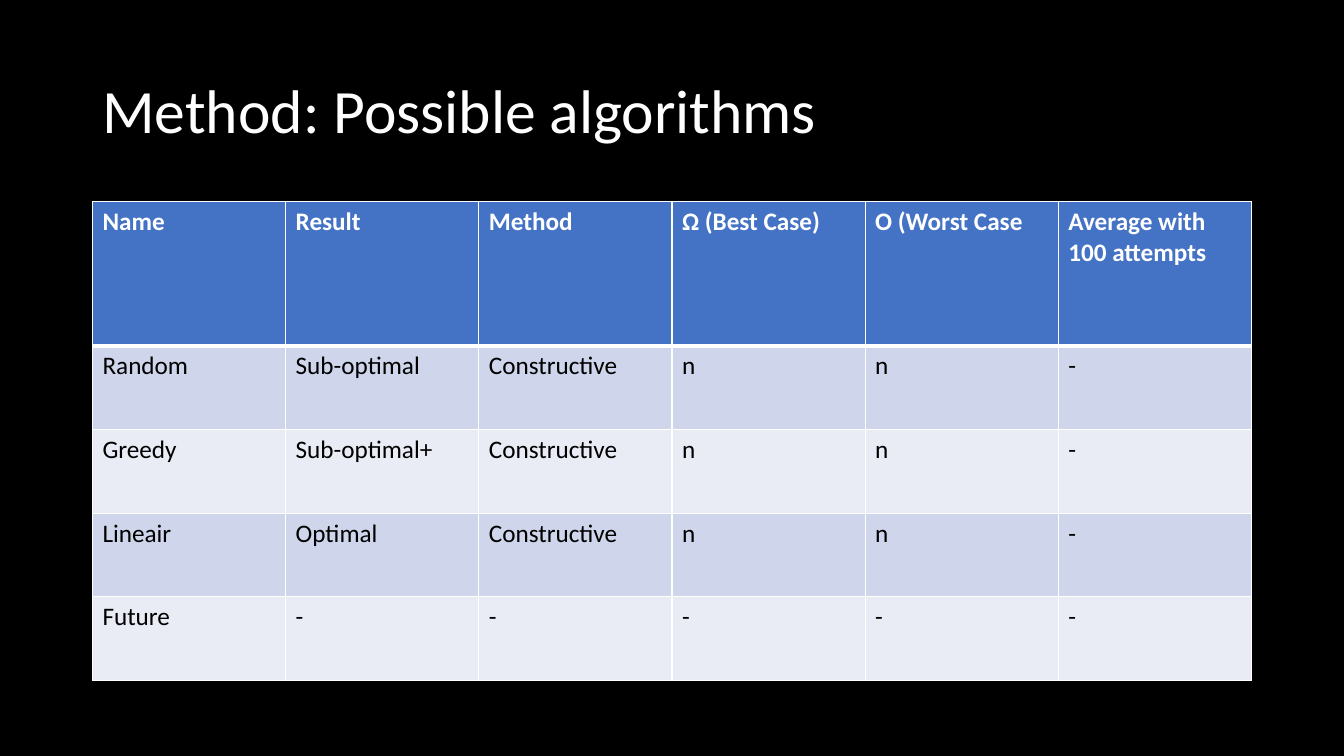
from lxml.etree import SubElement
from pptx import Presentation
from pptx.dml.color import RGBColor
from pptx.enum.text import MSO_ANCHOR
from pptx.oxml.ns import qn
from pptx.util import Cm, Pt

color = RGBColor.from_string


def write_text(frame, text, size=18, hex_color="000000", bold=False, line_spacing=1.0):
    paragraph = frame.paragraphs[0]
    paragraph.line_spacing = line_spacing
    run = paragraph.add_run()
    run.text = text
    run.font.name = "Calibri"
    run.font.size = Pt(size)
    run.font.bold = bold
    run.font.color.rgb = color(hex_color)


def add_border(cell_properties, side, width):
    line = SubElement(cell_properties, qn(f"a:{side}"), w=str(Pt(width)))
    fill = SubElement(line, qn("a:solidFill"))
    SubElement(fill, qn("a:srgbClr"), val="FFFFFF")


# Slide with black background
presentation = Presentation()
presentation.slide_width, presentation.slide_height = Cm(33.87), Cm(19.05)
slide = presentation.slides.add_slide(presentation.slide_layouts[6])
slide.background.fill.solid()
slide.background.fill.fore_color.rgb = color("000000")

# Title
left, width = Cm(2.33), Cm(29.21)
title = slide.shapes.add_textbox(left, Cm(1.01), width, Cm(3.68)).text_frame
title.word_wrap = True
title.vertical_anchor = MSO_ANCHOR.MIDDLE
write_text(title, "Method: Possible algorithms", size=44, hex_color="FFFFFF", line_spacing=0.9)

# Algorithm table
algorithms = [
    ["Name", "Result", "Method", "Ω (Best Case)", "O (Worst Case", "Average with 100 attempts"],
    ["Random", "Sub-optimal", "Constructive", "n", "n", "-"],
    ["Greedy", "Sub-optimal+", "Constructive", "n", "n", "-"],
    ["Lineair", "Optimal", "Constructive", "n", "n", "-"],
    ["Future", "-", "-", "-", "-", "-"],
]
header_height, body_height = Cm(3.63), Cm(2.11)
table = slide.shapes.add_table(
    len(algorithms), len(algorithms[0]), left, Cm(5.08),
    width, header_height + 4 * body_height).table

for row_index, values in enumerate(algorithms):
    is_header = row_index == 0
    table.rows[row_index].height = header_height if is_header else body_height
    band = "CFD5EA" if row_index % 2 else "E9EBF5"
    for column_index, value in enumerate(values):
        cell = table.cell(row_index, column_index)
        write_text(cell.text_frame, value, bold=is_header,
                   hex_color="FFFFFF" if is_header else "000000")

        # White borders, thick below the header; they precede the fill in the XML
        cell_properties = cell._tc.get_or_add_tcPr()
        add_border(cell_properties, "lnL", 1)
        add_border(cell_properties, "lnR", 1)
        add_border(cell_properties, "lnT", 3 if row_index == 1 else 1)
        add_border(cell_properties, "lnB", 3 if is_header else 1)
        cell.fill.solid()
        cell.fill.fore_color.rgb = color("4472C4" if is_header else band)

presentation.save("out.pptx")
